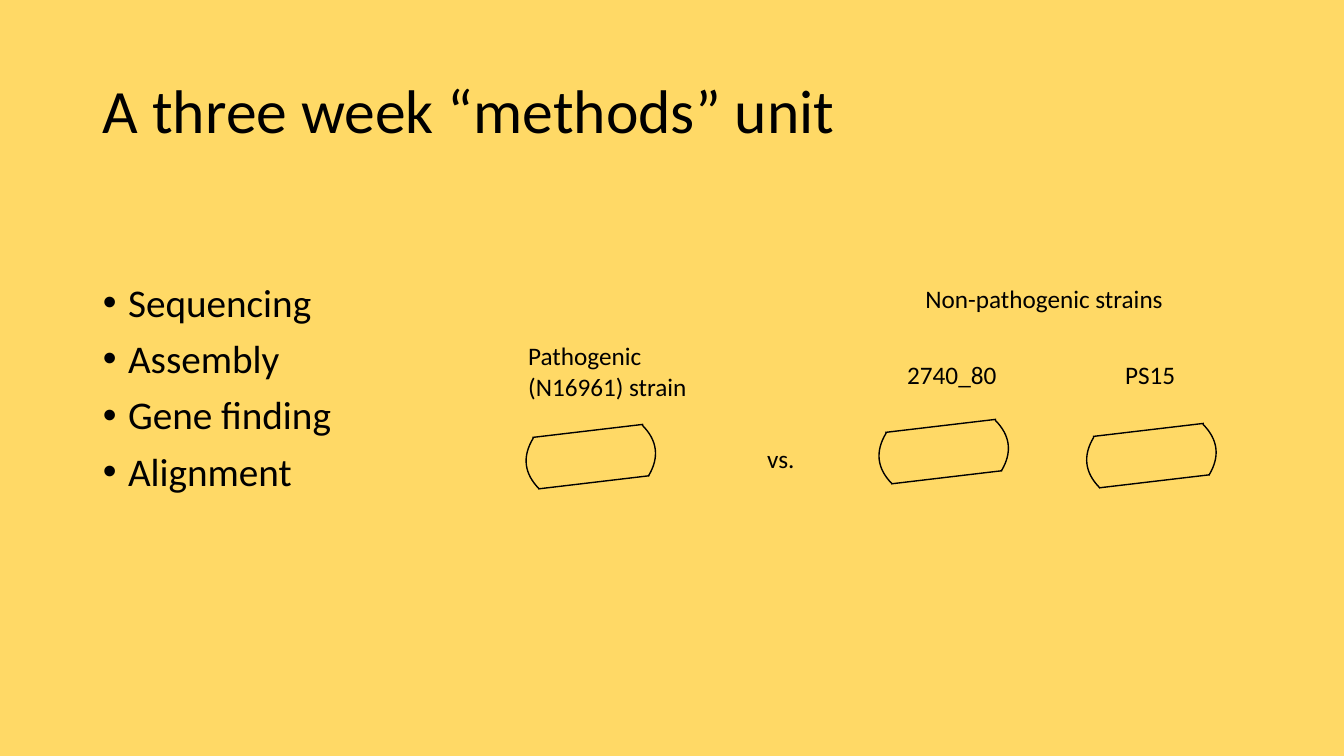
from lxml.etree import SubElement
from pptx import Presentation
from pptx.dml.color import RGBColor
from pptx.enum.shapes import MSO_CONNECTOR
from pptx.enum.text import MSO_ANCHOR, MSO_AUTO_SIZE, PP_ALIGN
from pptx.oxml.ns import qn
from pptx.util import Inches, Pt

BACKGROUND = "FFD966"
INK = "000000"
FONT = "Calibri"
TOPICS = ["Sequencing", "Assembly", "Gene finding", "Alignment"]
LABELS = [
    ("Pathogenic (N16961) strain", (5.14, 3.33, 1.94, 0.71), True),
    ("Non-pathogenic strains", (9.08, 2.76, 2.68, 0.4), True),
    ("2740_80", (8.9, 3.52, 1.1, 0.4), False),
    ("PS15", (11.06, 3.52, 0.7, 0.4), False),
    ("vs.", (7.51, 4.35, 0.48, 0.4), False),
]
CELL_ORIGINS = [(5.2, 4.21), (8.7, 4.16), (10.76, 4.2)]
CELL_SIDES = [((0.14, 0.64), (1.24, 0.51)), ((0.08, 0.13), (1.18, 0))]
CAP_SIZE = (0.1, 0.51)
CAP_TILT = -6.8
RIGHT_CAP, LEFT_CAP = (1.2, 0), (0.02, 0.14)


def color(hex_value):
    return RGBColor.from_string(hex_value)


def apply_format(target, values):
    for name, value in values.items():
        setattr(target, name, value)


def format_font(font, size):
    apply_format(font, {"name": FONT, "size": Pt(size), "bold": False})
    font.color.rgb = color(INK)


def format_line(line):
    line.color.rgb = color(INK)
    line.width = Pt(1)


def place(shape, box):
    names = ("left", "top", "width", "height")
    apply_format(shape, dict(zip(names, map(Inches, box))))


def add_title(slide, box):
    title = slide.shapes.title
    place(title, box)
    title.text = "A three week “methods” unit"
    apply_format(title.text_frame, {
        "vertical_anchor": MSO_ANCHOR.MIDDLE,
        "auto_size": MSO_AUTO_SIZE.NONE,
        "word_wrap": True,
    })
    heading = title.text_frame.paragraphs[0]
    apply_format(heading, {"alignment": PP_ALIGN.LEFT, "line_spacing": 0.9})
    format_font(heading.runs[0].font, 44)


def add_topics(slide, box):
    body = slide.placeholders[1]
    place(body, box)
    frame = body.text_frame
    frame.text = "\n".join(TOPICS)
    apply_format(frame, {"auto_size": MSO_AUTO_SIZE.NONE, "word_wrap": True})
    for index, topic in enumerate(frame.paragraphs):
        apply_format(topic, {
            "alignment": PP_ALIGN.LEFT,
            "line_spacing": 0.9,
            "space_before": Pt(10 if index else 0),
        })
        properties = topic._p.get_or_add_pPr()
        properties.set("marL", str(Inches(0.25)))
        properties.set("indent", str(Inches(-0.25)))
        SubElement(properties, qn("a:buFont"), typeface="Arial")
        SubElement(properties, qn("a:buChar"), char="•")
        format_font(topic.runs[0].font, 28)


def add_label(slide, text, box, wraps):
    label = slide.shapes.add_textbox(*map(Inches, box))
    frame = label.text_frame
    frame.text = text
    apply_format(frame, {
        "word_wrap": wraps,
        "auto_size": MSO_AUTO_SIZE.SHAPE_TO_FIT_TEXT,
    })
    format_font(frame.paragraphs[0].runs[0].font, 18)


def add_cap(slide, left, top, faces_right):
    width, height = map(Inches, CAP_SIZE)
    left, top = Inches(left), Inches(top)
    open_x, tip_x = (0, width) if faces_right else (width, 0)
    control_x = open_x + (tip_x - open_x) * 4 // 3
    builder = slide.shapes.build_freeform(left + open_x, top + height)
    builder.add_line_segments(
        [(left + tip_x, top + height // 2), (left + open_x, top)], close=False)
    cap = builder.convert_to_shape()
    outline = cap._element.find(".//" + qn("a:path"))
    for segment in outline.findall(qn("a:lnTo")):
        outline.remove(segment)
    curve = SubElement(outline, qn("a:cubicBezTo"))
    for x, y in ((control_x, height * 2 // 3), (control_x, height // 3), (open_x, 0)):
        SubElement(curve, qn("a:pt"), x=str(x), y=str(y))
    cap.rotation = CAP_TILT
    cap.fill.background()
    cap.shadow.inherit = False
    format_line(cap.line)


def add_side(slide, start, end):
    side = slide.shapes.add_connector(
        MSO_CONNECTOR.STRAIGHT, *map(Inches, start + end))
    SubElement(side._element.spPr, qn("a:effectLst"))
    format_line(side.line)


def add_cell(slide, left, top):
    def locate(point):
        return left + point[0], top + point[1]

    bottom, upper = CELL_SIDES
    add_side(slide, *map(locate, bottom))
    add_cap(slide, *locate(RIGHT_CAP), True)
    add_cap(slide, *locate(LEFT_CAP), False)
    add_side(slide, *map(locate, upper))


def add_strains(slide):
    for text, box, wraps in LABELS:
        add_label(slide, text, box, wraps)
    for left, top in CELL_ORIGINS:
        add_cell(slide, left, top)


def main():
    presentation = Presentation()
    apply_format(presentation, {
        "slide_width": Inches(13.33),
        "slide_height": Inches(7.5),
    })
    slide = presentation.slides.add_slide(presentation.slide_layouts[1])
    slide.background.fill.solid()
    slide.background.fill.fore_color.rgb = color(BACKGROUND)
    add_title(slide, (0.92, 0.4, 11.5, 1.45))
    add_topics(slide, (0.92, 2.76, 11.5, 3.99))
    add_strains(slide)
    presentation.save("out.pptx")


if __name__ == "__main__":
    main()
